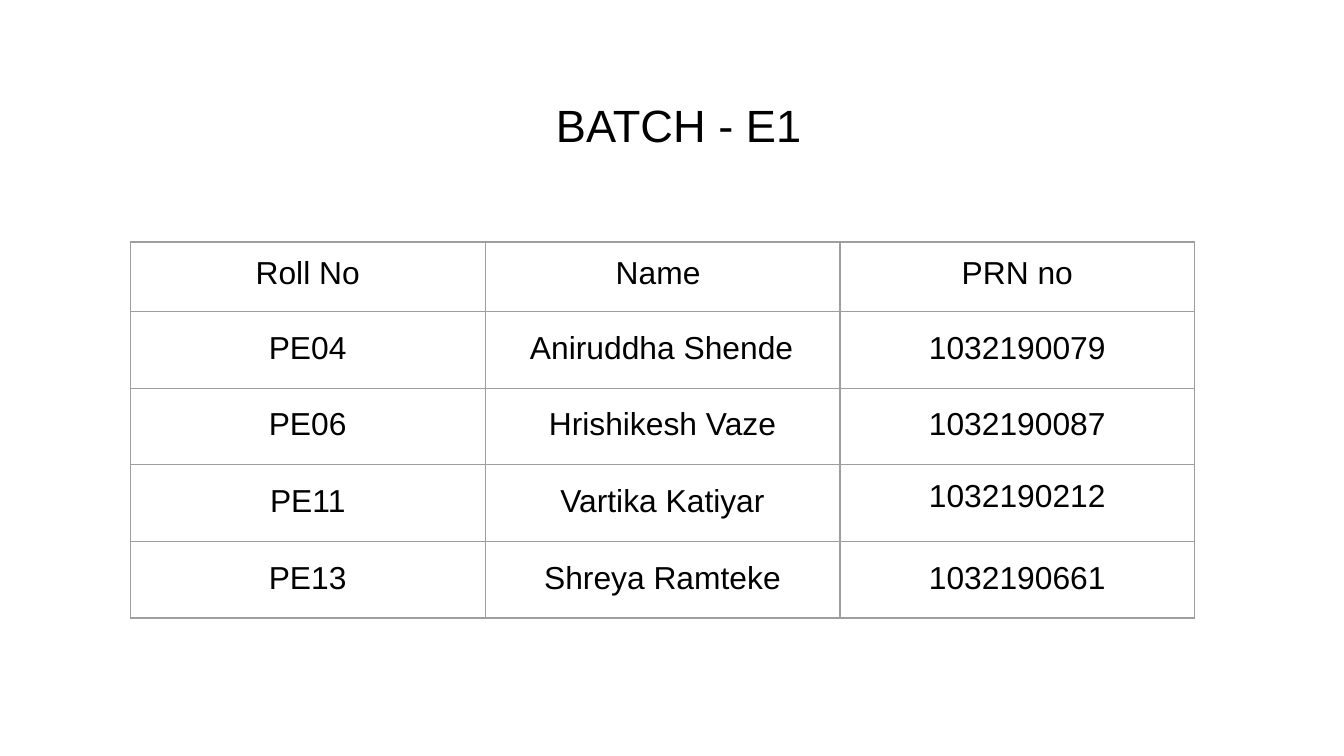
"""Build a slide with the student list of one batch."""
import lxml.etree
import pptx
import pptx.dml.color
import pptx.enum.text
import pptx.oxml.ns
import pptx.util

Inches = pptx.util.Inches
BLACK = pptx.dml.color.RGBColor(0x00, 0x00, 0x00)
GREY = pptx.dml.color.RGBColor(0x9E, 0x9E, 0x9E)
FONT = "Arial"
INSET = 0.1
COLUMN_WIDTH = 2.64
HEADER_HEIGHT = 0.52
ROW_HEIGHT = 0.57
LOOSE = 1.15

STUDENTS = [
    ("Roll No", "Name ", "PRN no"),
    ("PE04", " Aniruddha Shende ", "1032190079"),
    ("PE06", "Hrishikesh Vaze", "1032190087"),
    ("PE11", "Vartika Katiyar", "1032190212"),
    ("PE13", "Shreya Ramteke", "1032190661"),
]
SINGLE_SPACED = {*STUDENTS[0], "1032190212"}


def write_text(frame, text, *, size, spacing):
    """Write one centred paragraph into a text frame."""
    para = frame.paragraphs[0]
    para.alignment = pptx.enum.text.PP_ALIGN.CENTER
    para.line_spacing = spacing
    para.space_before = pptx.util.Pt(0)
    span = para.add_run()
    span.text = text
    span.font.name = FONT
    span.font.size = pptx.util.Pt(size)
    span.font.color.rgb = BLACK


def set_insets(target, bottom=INSET):
    """Set the inner margins of a cell or text frame."""
    target.margin_left = target.margin_right = target.margin_top = Inches(INSET)
    target.margin_bottom = Inches(bottom)


def add_borders(cell):
    """Draw a thin grey line on all four sides of a cell."""
    qn = pptx.oxml.ns.qn
    properties = cell._tc.get_or_add_tcPr()
    for index, side in enumerate(("lnL", "lnR", "lnT", "lnB")):
        line = lxml.etree.Element(qn(f"a:{side}"), w=str(pptx.util.Pt(0.75)))
        fill = lxml.etree.SubElement(line, qn("a:solidFill"))
        lxml.etree.SubElement(fill, qn("a:srgbClr"), val=str(GREY))
        properties.insert(index, line)


def add_title(page, text):
    """Place and format the title placeholder."""
    box = page.shapes.title
    box.left, box.top = Inches(0.35), Inches(0.43)
    box.width, box.height = Inches(9.4), Inches(1.42)
    frame = box.text_frame
    frame.word_wrap = True
    frame.auto_size = pptx.enum.text.MSO_AUTO_SIZE.NONE
    frame.vertical_anchor = pptx.enum.text.MSO_ANCHOR.BOTTOM
    set_insets(frame, bottom=0.72)
    write_text(frame, text, size=24.2, spacing=LOOSE)


def add_student_table(page, rows):
    """Add the bordered table of students."""
    heights = [HEADER_HEIGHT] + [ROW_HEIGHT] * (len(rows) - 1)
    columns = len(rows[0])
    table = page.shapes.add_table(
        len(rows), columns, Inches(0.97), Inches(1.8),
        Inches(COLUMN_WIDTH * columns), Inches(sum(heights)),
    ).table
    table.first_row = table.horz_banding = False
    for column in table.columns:
        column.width = Inches(COLUMN_WIDTH)
    for row, height, values in zip(table.rows, heights, rows):
        row.height = Inches(height)
        for cell, value in zip(row.cells, values):
            cell.fill.background()
            set_insets(cell)
            add_borders(cell)
            spacing = 1.0 if value in SINGLE_SPACED else LOOSE
            write_text(cell.text_frame, value, size=17, spacing=spacing)


def main():
    """Create and save the deck."""
    deck = pptx.Presentation()
    deck.slide_width = Inches(10)
    deck.slide_height = deck.slide_width * 9 // 16
    page = deck.slides.add_slide(deck.slide_layouts[5])
    add_title(page, "BATCH - E1")
    add_student_table(page, STUDENTS)
    deck.save("out.pptx")


if __name__ == "__main__":
    main()
